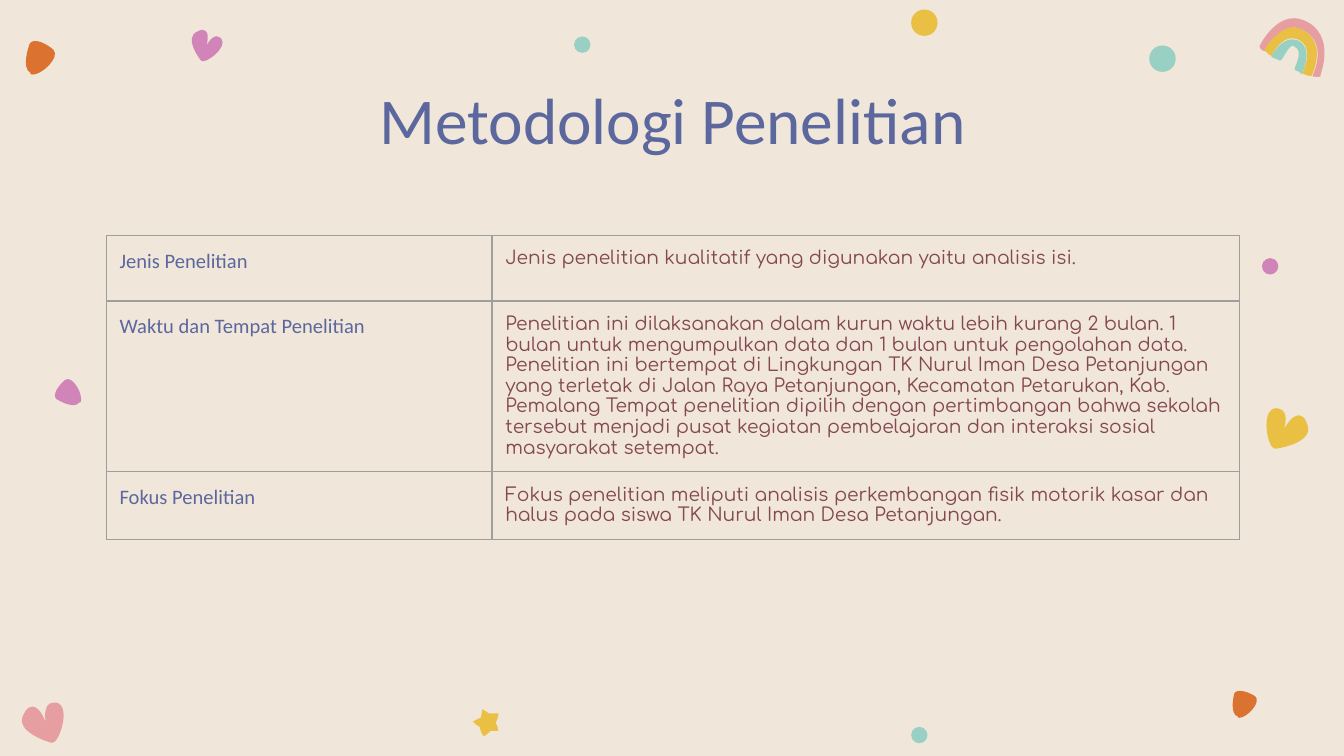
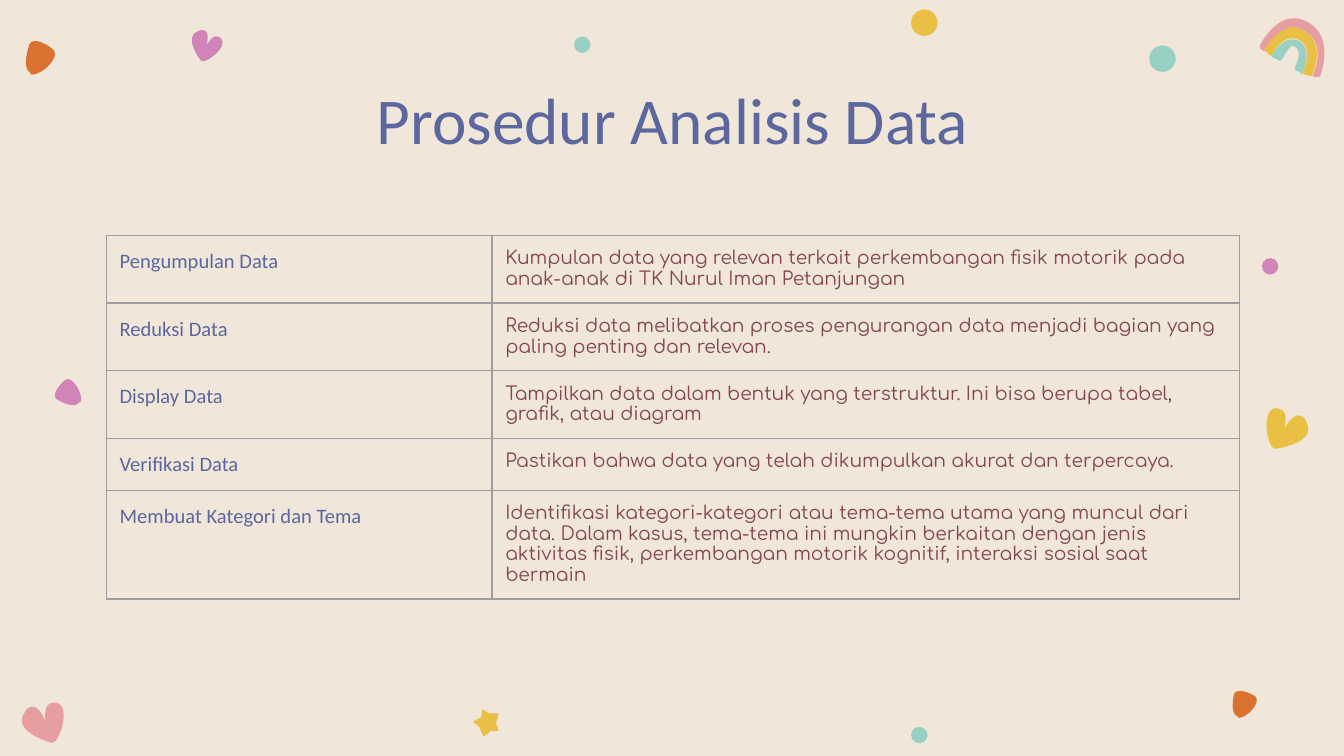
import pptx
import pptx.dml.color
import pptx.enum.shapes
import pptx.enum.text
import pptx.oxml
import pptx.oxml.ns
import pptx.util
from lxml import etree

Cm = pptx.util.Cm
Pt = pptx.util.Pt
qn = pptx.oxml.ns.qn

CREAM, ORANGE, PURPLE, PINK = "F0E6DA", "DB722F", "D184B7", "E69EA1"
TEAL, YELLOW, INDIGO, WINE, GRAY = "98D0C3", "EAC044", "5C679E", "844851", "9E9E9E"

TITLE_BOX = (2.01, 1.24, 21.41, 1.6)
TABLE_BOX = (2.01, 4.45, 21.41, 6.07)
COLUMN_WIDTHS = (7.29, 14.12)
TITLE_FONT = {"name": "Calibri", "size": Pt(35), "bold": False}
LABEL_FONT = {"name": "Calibri", "size": Pt(11)}
DETAIL_FONT = {"name": "Comfortaa", "size": Pt(10)}
MARGINS = {f"margin_{side}": Cm(0.25) for side in ("left", "right", "top", "bottom")}

PETAL = [(8, 0), (5, 0), (3, 1), (3, 4), (3, 4), (0, 17), (6, 19), (6, 19), (6, 20),
         (7, 20), (13, 20), (24, 8), (19, 4), (16, 2), (11, 0), (8, 0)]
HEART = [(31, 0), (22, 0), (25, 15), (25, 15), (25, 15), (21, 3), (15, 3), (13, 3),
         (11, 4), (9, 8), (0, 22), (29, 30), (29, 30), (29, 30), (29, 30), (30, 30),
         (35, 30), (44, 3), (33, 0), (32, 0), (32, 0), (31, 0)]
MIRRORED_HEART = [(44 - x, y) for x, y in HEART]
STAR = [(7, 0), (7, 2), (6, 4), (6, 6), (4, 7), (2, 8), (0, 9), (2, 11), (3, 12),
        (5, 13), (6, 16), (6, 18), (8, 20), (10, 19), (12, 17), (13, 16), (14, 16),
        (15, 16), (16, 16), (17, 16), (18, 16), (19, 16), (19, 14), (18, 12), (17, 10),
        (18, 8), (19, 5), (19, 3), (19, 3), (18, 3), (17, 3), (16, 3), (14, 3), (12, 3),
        (11, 2), (9, 1), (7, 0)]
INNER_ARC = [(13, 0), (25, 0), (26, 15), (26, 22), (25, 21), (23, 21), (20, 21),
             (18, 21), (22, 5), (12, 5), (8, 5), (9, 19), (7, 19), (6, 19), (4, 19),
             (0, 19), (0, 12), (4, 0), (13, 0)]
OUTER_ARC = [(23, 0), (49, 0), (50, 32), (50, 32), (52, 34), (49, 35), (45, 36),
             (45, 21), (40, 7), (23, 7), (10, 7), (6, 25), (5, 33), (2, 33), (0, 32),
             (0, 31), (0, 29), (2, 0), (23, 0)]
MIDDLE_ARC = [(18, 0), (35, 0), (40, 14), (40, 29), (38, 30), (35, 30), (33, 30),
              (33, 23), (32, 8), (20, 8), (10, 8), (7, 20), (7, 27), (4, 27), (2, 26),
              (0, 25), (1, 18), (6, 0), (18, 0)]

DOTS = [
    (PURPLE, 23.85, 4.88, 0.31), (TEAL, 21.72, 0.86, 0.5), (YELLOW, 17.22, 0.18, 0.5),
    (TEAL, 17.22, 13.74, 0.31), (TEAL, 10.85, 0.69, 0.31),
]
CONFETTI = [
    (PETAL, ORANGE, (23.24, 13.06, 0.61, 0.51), 0),
    (HEART, PINK, (0.23, 13.28, 1.12, 0.76), 0),
    (PETAL, PURPLE, (1.02, 7.14, 0.61, 0.51), 288),
    (MIRRORED_HEART, YELLOW, (23.77, 7.75, 1.14, 0.76), 7.4),
    (HEART, PURPLE, (3.45, 0.56, 0.81, 0.56), 35.6),
    (PETAL, ORANGE, (0.43, 0.79, 0.71, 0.64), 6.7),
    (STAR, YELLOW, (8.94, 13.41, 0.48, 0.51), 0),
]
RAINBOW_BOX = (23.88, 0.38)
RAINBOW = [
    (INNER_ARC, TEAL, (0.2, 0.36, 0.66, 0.56)),
    (OUTER_ARC, PINK, (0, 0, 1.32, 0.91)),
    (MIDDLE_ARC, YELLOW, (0.07, 0.15, 1.02, 0.76)),
]

METHOD_ROWS = [
    (1.24, "Jenis Penelitian",
     ["Jenis penelitian kualitatif yang digunakan yaitu analisis isi."]),
    (1.24, "Waktu dan Tempat Penelitian",
     ["Penelitian ini dilaksanakan dalam kurun waktu lebih kurang 2 bulan. 1 bulan untuk "
      "mengumpulkan data dan 1 bulan untuk pengolahan data.",
      "Penelitian ini bertempat di Lingkungan TK Nurul Iman Desa Petanjungan yang terletak "
      "di Jalan Raya Petanjungan, Kecamatan Petarukan, Kab. Pemalang Tempat penelitian "
      "dipilih dengan pertimbangan bahwa sekolah tersebut menjadi pusat kegiatan "
      "pembelajaran dan interaksi sosial masyarakat setempat."]),
    (0.97, "Fokus Penelitian",
     ["Fokus penelitian meliputi analisis perkembangan fisik motorik kasar dan halus pada "
      "siswa TK Nurul Iman Desa Petanjungan."]),
]
ANALYSIS_ROWS = [
    (1.24, "Pengumpulan Data",
     ["Kumpulan data yang relevan terkait perkembangan fisik motorik pada anak-anak di "
      "TK Nurul Iman Petanjungan"]),
    (1.24, "Reduksi Data",
     ["Reduksi data melibatkan proses pengurangan data menjadi bagian yang paling penting "
      "dan relevan."]),
    (0.97, "Display Data",
     ["Tampilkan data dalam bentuk yang terstruktur. Ini bisa berupa tabel, grafik, atau "
      "diagram"]),
    (0.97, "Verifikasi Data",
     ["Pastikan bahwa data yang telah dikumpulkan akurat dan terpercaya."]),
    (0.97, "Membuat Kategori dan Tema",
     ["Identifikasi kategori-kategori atau tema-tema utama yang muncul dari data. Dalam "
      "kasus, tema-tema ini mungkin berkaitan dengan jenis aktivitas fisik, perkembangan "
      "motorik kognitif, interaksi sosial saat bermain"]),
]


def set_color(color_format, value):
    color_format.rgb = pptx.dml.color.RGBColor.from_string(value)


def apply_format(target, values):
    for name, value in values.items():
        setattr(target, name, value)


def write_paragraph(paragraph, text, font_values, color):
    run = paragraph.add_run()
    run.text = text
    apply_format(run.font, font_values)
    set_color(run.font.color, color)


def paint(shape, color):
    shape.shadow.inherit = False
    shape.fill.solid()
    set_color(shape.fill.fore_color, color)
    shape.line.fill.background()


def draw_curve(shapes, outline, color, box, rotation):
    left, top, width, height = map(Cm, box)
    scale = (width / max(x for x, y in outline), height / max(y for x, y in outline))
    builder = shapes.build_freeform(*outline[0], scale=scale)
    builder.add_line_segments(outline[1:], close=True)
    shape = builder.convert_to_shape(left, top)
    shape_path = next(shape.element.iter(qn("a:path")))
    segments = shape_path.findall(qn("a:lnTo"))
    for first, second, third in zip(*[iter(segments)] * 3):
        curve = etree.Element(qn("a:cubicBezTo"))
        shape_path.replace(first, curve)
        curve.extend([first[0], second[0], third[0]])
        shape_path.remove(second)
        shape_path.remove(third)
    shape.rotation = rotation
    paint(shape, color)
    return shape


def draw_rainbow(slide, box):
    group = slide.shapes.add_group_shape()
    for outline, color, (left, top, width, height) in RAINBOW:
        arc_box = (box[0] + left, box[1] + top, width, height)
        draw_curve(group.shapes, outline, color, arc_box, 23.3)
    return group


def draw_dot(slide, color, left, top, size):
    oval = pptx.enum.shapes.MSO_SHAPE.OVAL
    dot = slide.shapes.add_shape(oval, Cm(left), Cm(top), Cm(size), Cm(size))
    paint(dot, color)
    return dot


def decorate_layout(layout, slide):
    for placeholder in list(layout.placeholders)[1:]:
        layout.shapes.element.remove(placeholder.element)
    decorations = [draw_dot(slide, *dot) for dot in DOTS]
    decorations += [draw_curve(slide.shapes, *piece) for piece in CONFETTI]
    decorations.append(draw_rainbow(slide, RAINBOW_BOX))
    for decoration in decorations:
        layout.shapes.element.append(decoration.element)


def add_title(slide, text, box):
    title = slide.shapes.title
    apply_format(title, dict(zip(("left", "top", "width", "height"), map(Cm, box))))
    apply_format(title.text_frame, {
        **MARGINS,
        "word_wrap": True,
        "auto_size": pptx.enum.text.MSO_AUTO_SIZE.NONE,
        "vertical_anchor": pptx.enum.text.MSO_ANCHOR.TOP,
    })
    paragraph = title.text_frame.paragraphs[0]
    paragraph.alignment = pptx.enum.text.PP_ALIGN.CENTER
    write_paragraph(paragraph, text, TITLE_FONT, INDIGO)


def add_borders(cell_properties):
    for position, side in enumerate(("lnL", "lnR", "lnT", "lnB")):
        border = pptx.oxml.parse_xml(
            f'<a:{side} xmlns:a="http://schemas.openxmlformats.org/drawingml/2006/main" '
            f'w="{Pt(0.75)}"><a:solidFill><a:srgbClr val="{GRAY}"/></a:solidFill></a:{side}>')
        cell_properties.insert(position, border)


def fill_cell(cell, texts, font_values, color):
    apply_format(cell, MARGINS)
    cell.fill.background()
    for index, text in enumerate(texts):
        frame = cell.text_frame
        paragraph = frame.add_paragraph() if index else frame.paragraphs[0]
        write_paragraph(paragraph, text, font_values, color)


def add_detail_table(slide, rows, box):
    graphic_frame = slide.shapes.add_table(len(rows), len(COLUMN_WIDTHS), *map(Cm, box))
    table = graphic_frame.table
    apply_format(table, {"first_row": False, "horz_banding": False})
    for column, width in zip(table.columns, COLUMN_WIDTHS):
        column.width = Cm(width)
    for row, (height, label, details) in zip(table.rows, rows):
        row.height = Cm(height)
        fill_cell(row.cells[0], [label], LABEL_FONT, INDIGO)
        fill_cell(row.cells[1], details, DETAIL_FONT, WINE)
    for cell_properties in graphic_frame.element.iter(qn("a:tcPr")):
        add_borders(cell_properties)
    return table


def build_table_slide(slide, title, rows):
    add_title(slide, title, TITLE_BOX)
    return add_detail_table(slide, rows, TABLE_BOX)


def main():
    presentation = pptx.Presentation()
    apply_format(presentation, {"slide_width": Cm(25.4), "slide_height": Cm(14.29)})
    background = presentation.slide_master.background.fill
    background.solid()
    set_color(background.fore_color, CREAM)
    layout = presentation.slide_layouts.get_by_name("Title Only")

    method_slide = presentation.slides.add_slide(layout)
    decorate_layout(layout, method_slide)
    method_table = build_table_slide(method_slide, "Metodologi Penelitian", METHOD_ROWS)
    method_table.cell(0, 1).text_frame.paragraphs[0].space_after = Pt(16)

    analysis_slide = presentation.slides.add_slide(layout)
    build_table_slide(analysis_slide, "Prosedur Analisis Data", ANALYSIS_ROWS)
    presentation.save("out.pptx")


if __name__ == "__main__":
    main()
